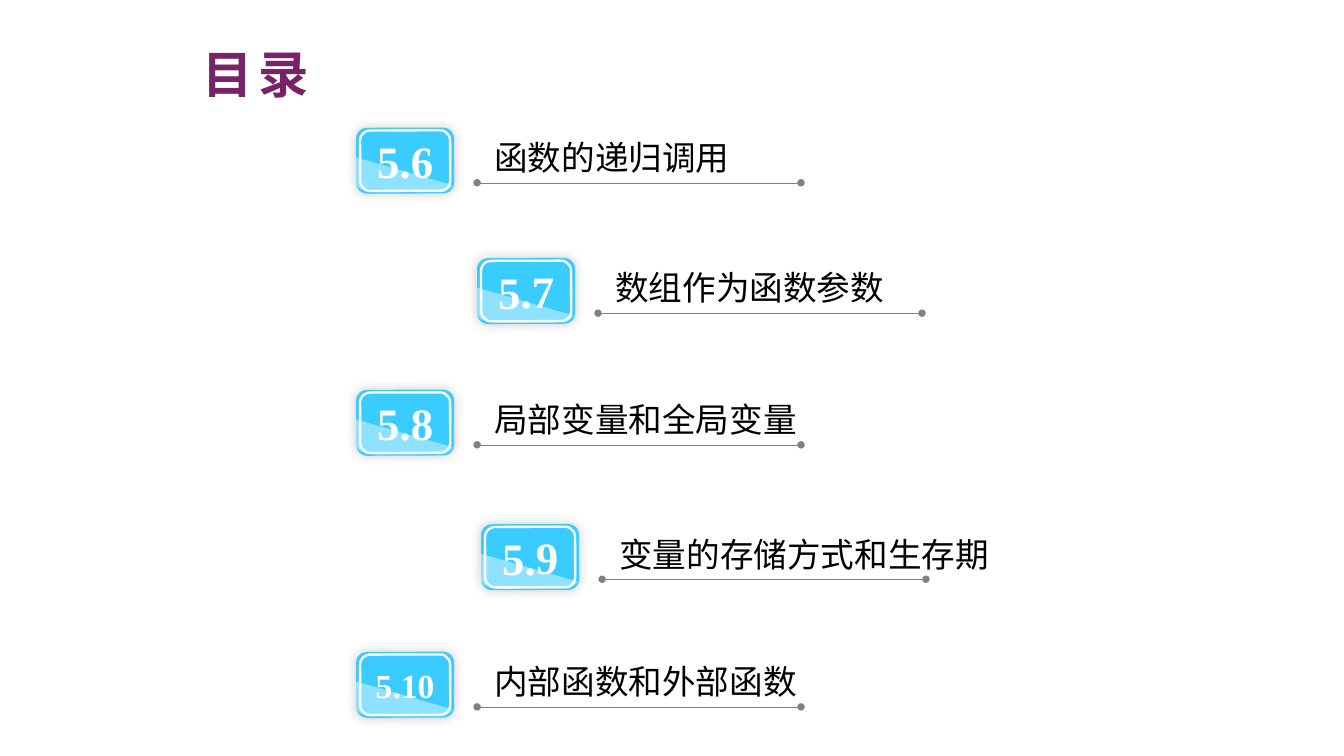
from lxml.etree import SubElement
from pptx import Presentation
from pptx.dml.color import RGBColor
from pptx.enum.dml import MSO_LINE
from pptx.enum.shapes import MSO_CONNECTOR, MSO_SHAPE
from pptx.enum.text import MSO_ANCHOR, MSO_AUTO_SIZE, PP_ALIGN
from pptx.oxml.ns import qn
from pptx.util import Inches, Pt

PURPLE = RGBColor(0x78, 0x23, 0x67)
BLUE = RGBColor(0x3B, 0xCC, 0xFF)
WHITE = RGBColor(0xFF, 0xFF, 0xFF)
GRAY = RGBColor(0x80, 0x80, 0x80)
BLACK = RGBColor(0, 0, 0)
CJK_FONT = "Noto Sans CJK SC"
NUMBER_FONT = "Times New Roman"
TILT = -0.2

ENTRIES = [
    ("5.6", "函数的递归调用", 2.65, 0.95, 1.95, 24),
    ("5.7", "数组作为函数参数", 3.55, 1.92, 2.2, 24),
    ("5.8", "局部变量和全局变量", 2.65, 2.9, 2.45, 24),
    ("5.9", "变量的存储方式和生存期", 3.58, 3.9, 2.95, 24),
    ("5.10", "内部函数和外部函数", 2.65, 4.85, 2.45, 18),
]


def set_text(sp, text, size, color, font, bold=False):
    p = sp.text_frame.paragraphs[0]
    p.text = text
    r = p.runs[0]
    r.font.size = Pt(size)
    r.font.bold = bold
    r.font.color.rgb = color
    r.font.name = font
    SubElement(r.font._element, qn("a:ea"), typeface=font)
    return r


def add_label(shapes, text, x, y, w, h, size, color, bold=False, wrap=False):
    sp = shapes.add_textbox(Inches(x), Inches(y), Inches(w), Inches(h))
    sp.text_frame.word_wrap = wrap
    sp.text_frame.auto_size = MSO_AUTO_SIZE.SHAPE_TO_FIT_TEXT
    return set_text(sp, text, size, color, CJK_FONT, bold)


def add_round_rect(shapes, x, y, w, h):
    sp = shapes.add_shape(MSO_SHAPE.ROUNDED_RECTANGLE,
                          Inches(x), Inches(y), Inches(w), Inches(h))
    sp.rotation = TILT
    sp.shadow.inherit = False
    return sp


def add_glow(sp):
    effects = sp._element.spPr.find(qn("a:effectLst"))
    shadow = SubElement(effects, qn("a:outerShdw"), blurRad=str(Pt(6)),
                        dist="0", dir=str(225 * 60000), rotWithShape="0")
    color = SubElement(shadow, qn("a:srgbClr"), val=str(BLACK))
    SubElement(color, qn("a:alpha"), val="20000")


def add_tile(shapes, number, x, y, size):
    sp = add_round_rect(shapes, x, y, 0.73, 0.49)
    sp.fill.solid()
    sp.fill.fore_color.rgb = BLUE
    sp.line.fill.background()
    add_glow(sp)
    tf = sp.text_frame
    tf.word_wrap = False
    tf.vertical_anchor = MSO_ANCHOR.MIDDLE
    set_text(sp, number, size, WHITE, NUMBER_FONT, True)
    tf.paragraphs[0].alignment = PP_ALIGN.CENTER


def add_frame(shapes, x, y):
    sp = add_round_rect(shapes, x, y, 0.67, 0.45)
    sp.fill.background()
    sp.line.color.rgb = WHITE
    sp.line.width = Pt(1.25)


def add_shine(shapes, x, y):
    outline = [(0.72, 0.21), (0.69, 0.24), (0.65, 0.26), (0.61, 0.26),
               (0.12, 0.26), (0.07, 0.25), (0.02, 0.23), (0, 0.2)]
    builder = shapes.build_freeform(Inches(x), Inches(y))
    builder.add_line_segments([(Inches(x + dx), Inches(y + dy)) for dx, dy in outline])
    sp = builder.convert_to_shape()
    sp.rotation = TILT
    sp.shadow.inherit = False
    sp.fill.solid()
    sp.fill.fore_color.rgb = WHITE
    color = sp._element.spPr.find(qn("a:solidFill"))[0]
    SubElement(color, qn("a:alpha"), val="43000")
    sp.line.fill.background()


def add_rule(shapes, x, y):
    line = shapes.add_connector(MSO_CONNECTOR.STRAIGHT, Inches(x), Inches(y),
                                Inches(x + 2.41), Inches(y))
    line.line.color.rgb = GRAY
    line.line.width = Pt(0.25)
    line.line.dash_style = MSO_LINE.ROUND_DOT
    ln = line.line._get_or_add_ln()
    for end in ("a:headEnd", "a:tailEnd"):
        SubElement(ln, qn(end), type="oval", w="sm", len="sm")
    SubElement(line._element.spPr, qn("a:effectLst"))


def add_entry(s, number, title, x, y, title_width, size):
    shapes = s.shapes.add_group_shape().shapes
    add_tile(shapes, number, x, y, size)
    add_frame(shapes, x + 0.03, y + 0.02)
    add_shine(shapes, x, y + 0.22)
    add_rule(shapes, x + 0.9, y + 0.41)
    add_label(shapes, title, x + 0.93, y + 0.02, title_width, 0.4, 18, BLACK)


def main():
    prs = Presentation()
    prs.slide_width = Inches(10)
    prs.slide_height = prs.slide_width * 9 // 16
    s = prs.slides.add_slide(prs.slide_layouts[6])
    r = add_label(s.shapes, "目录", 1.41, 0.27, 1.09, 0.55, 27, PURPLE, True, True)
    r.font._element.set("spc", "300")
    for entry in ENTRIES:
        add_entry(s, *entry)
    prs.save("out.pptx")


if __name__ == "__main__":
    main()
